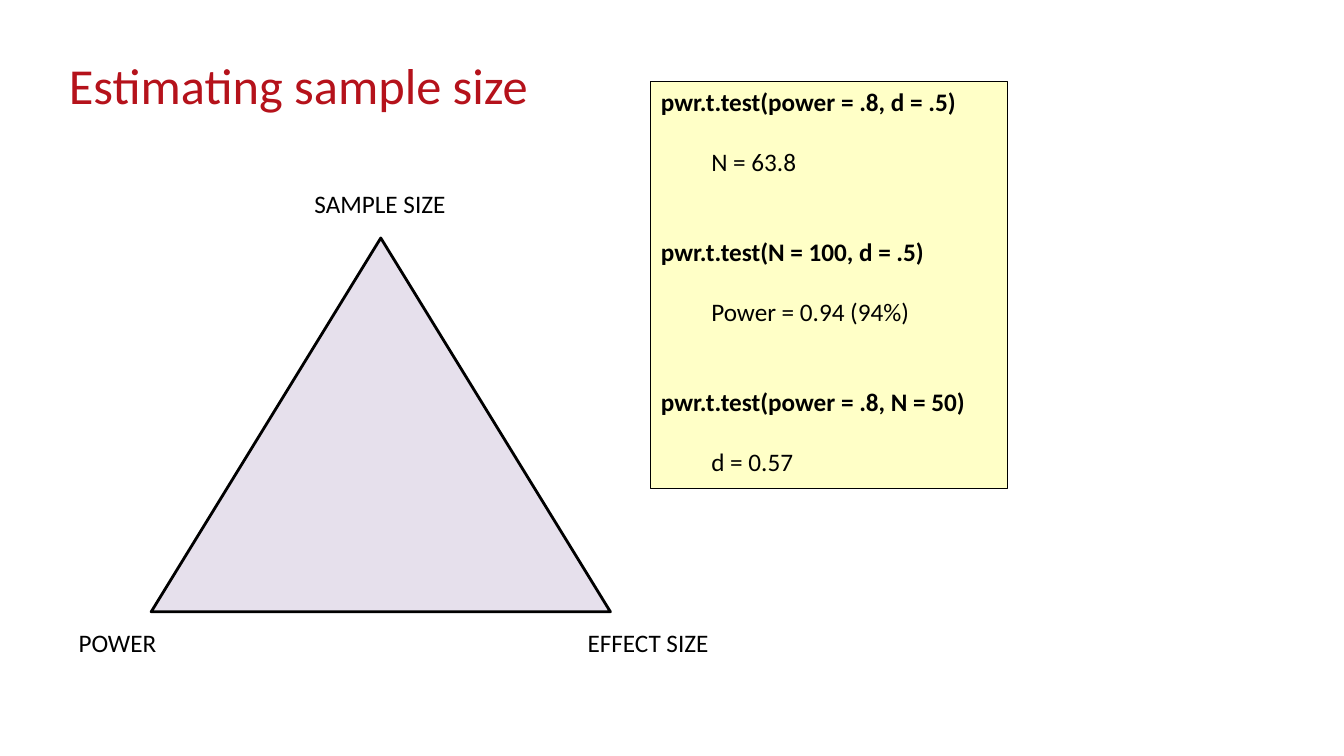
from typing import NamedTuple

from lxml.etree import SubElement
from pptx import Presentation
from pptx.dml.color import RGBColor
from pptx.enum.shapes import MSO_SHAPE
from pptx.enum.text import MSO_ANCHOR, MSO_AUTO_SIZE, PP_ALIGN
from pptx.oxml.ns import qn
from pptx.util import Pt

COLORS = {"title": "B5121B", "ink": "000000", "lilac": "E6E0EC", "yellow": "FFFF00"}
FONT = "Calibri"
LINE_GAP = 21.3


class Box(NamedTuple):
    left: float
    top: float
    width: float
    height: float

    def points(self) -> list:
        return [Pt(side) for side in self]


class Label(NamedTuple):
    text: str
    box: Box


class Test(NamedTuple):
    call: str
    result: str


LABELS = [
    Label("SAMPLE SIZE", Box(217.5, 131, 109, 29)),
    Label("EFFECT SIZE", Box(412.6, 444.2, 101.5, 29)),
    Label("POWER", Box(49, 444.2, 70.5, 29)),
]
TESTS = [
    Test("pwr.t.test(power = .8, d = .5)", "N = 63.8"),
    Test("pwr.t.test(N = 100, d = .5)", "Power = 0.94 (94%)"),
    Test("pwr.t.test(power = .8, N = 50)", "d = 0.57"),
]


def color(name: str) -> RGBColor:
    return RGBColor.from_string(COLORS[name])


def style(para, size: float = 18, ink: str = "ink", bold: bool = False) -> None:
    para.alignment = PP_ALIGN.LEFT
    para.font.name = FONT
    para.font.size = Pt(size)
    para.font.bold = bold
    para.font.color.rgb = color(ink)


def add_title(slide, text: str, box: Box) -> None:
    title = slide.shapes.title
    title.left, title.top, title.width, title.height = box.points()
    frame = title.text_frame
    frame.text = text
    frame.vertical_anchor = MSO_ANCHOR.TOP
    frame.auto_size = MSO_AUTO_SIZE.NONE
    para = frame.paragraphs[0]
    para.line_spacing = Pt(35)
    style(para, 36, "title")


def add_shape(slide, kind: MSO_SHAPE, box: Box, fill: str, line: float):
    shape = slide.shapes.add_shape(kind, *box.points())
    shape.shadow.inherit = False
    shape.fill.solid()
    shape.fill.fore_color.rgb = color(fill)
    shape.line.color.rgb = color("ink")
    shape.line.width = Pt(line)
    return shape


def add_label(slide, label: Label) -> None:
    frame = slide.shapes.add_textbox(*label.box.points()).text_frame
    frame.word_wrap = False
    frame.auto_size = MSO_AUTO_SIZE.SHAPE_TO_FIT_TEXT
    frame.text = label.text
    style(frame.paragraphs[0])


def add_tests(slide, tests: list[Test], box: Box) -> None:
    """Draw a pale box of bold calls, each followed by its indented result."""
    shape = add_shape(slide, MSO_SHAPE.RECTANGLE, box, "yellow", 0.75)
    tint = next(shape.fill._xPr.iter(qn("a:srgbClr")))
    SubElement(tint, qn("a:alpha"), val="22000")
    frame = shape.text_frame
    frame.word_wrap = True
    frame.vertical_anchor = MSO_ANCHOR.TOP
    for i, test in enumerate(tests):
        call = frame.add_paragraph() if i else frame.paragraphs[0]
        call.text = test.call
        if i:
            call.space_before = Pt(2 * LINE_GAP)
        style(call, bold=True)
        result = frame.add_paragraph()
        result.text = test.result
        result.space_before = Pt(LINE_GAP)
        result._p.get_or_add_pPr().set("marL", str(Pt(36)))
        style(result)


def main() -> None:
    deck = Presentation()
    deck.slide_width, deck.slide_height = Pt(960), Pt(540)
    slide = deck.slides.add_slide(deck.slide_layouts[5])
    add_title(slide, "Estimating sample size", Box(42, 43, 710.5, 90.5))
    add_shape(slide, MSO_SHAPE.ISOSCELES_TRIANGLE, Box(108, 170, 328, 267), "lilac", 2)
    for label in LABELS:
        add_label(slide, label)
    add_tests(slide, TESTS, Box(465, 58, 255, 291))
    deck.save("out.pptx")


if __name__ == "__main__":
    main()
